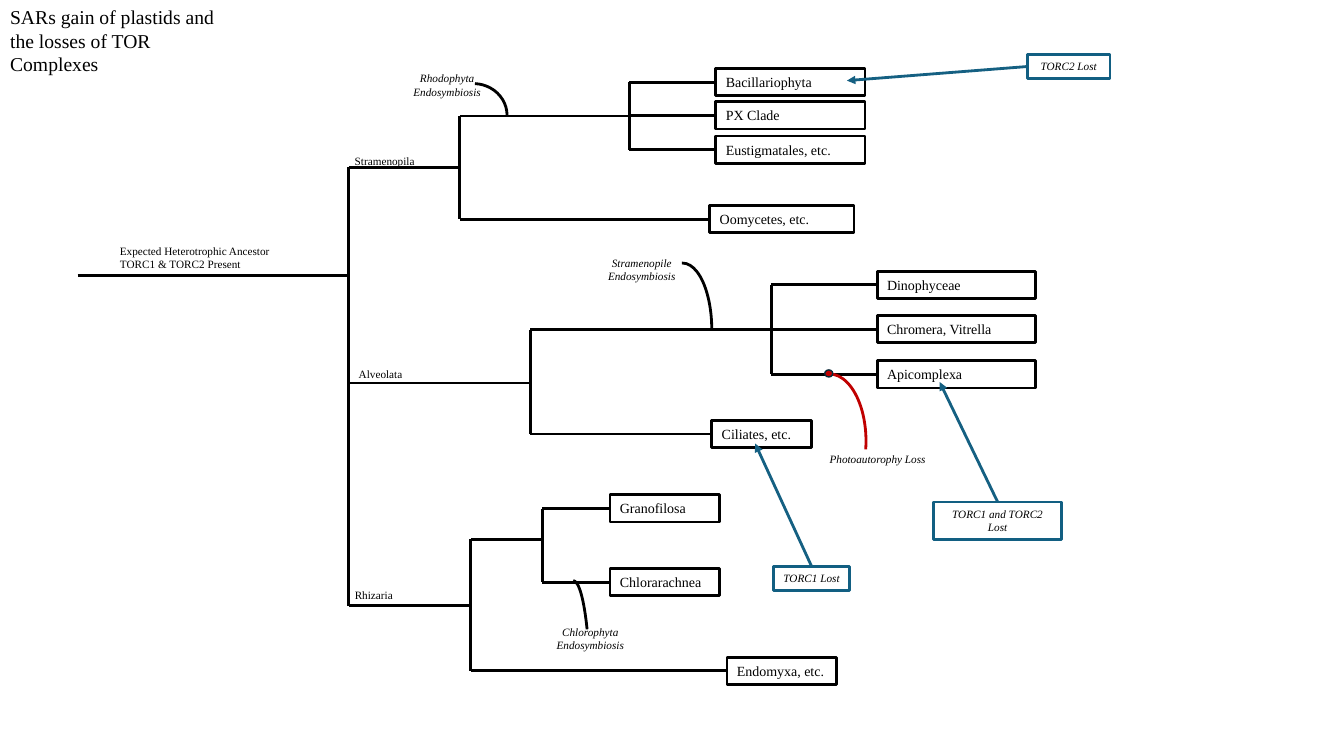
import pptx
import pptx.util
import pptx.dml.color
import pptx.enum.shapes
import pptx.enum.text
import pptx.oxml
import pptx.oxml.ns

Inches, Pt = pptx.util.Inches, pptx.util.Pt
SHAPE = pptx.enum.shapes.MSO_SHAPE
ALIGN = pptx.enum.text.PP_ALIGN
ANCHOR = pptx.enum.text.MSO_ANCHOR
AUTO_SIZE = pptx.enum.text.MSO_AUTO_SIZE
RGB = pptx.dml.color.RGBColor.from_string

COLORS = {"tree": "000000", "loss": "C00000", "dot": "092A39",
          "arrow": "156082", "callout": "125F82"}
TIP_HEIGHT = 0.27

presentation = pptx.Presentation()
presentation.slide_width, presentation.slide_height = Inches(13.33), Inches(7.5)
slide = presentation.slides.add_slide(presentation.slide_layouts[5])


def write(holder, text, size, italic=False, align=ALIGN.LEFT):
    """Fill a shape with wrapped, top-anchored text."""
    frame = holder.text_frame
    frame.text = text
    frame.word_wrap = True
    frame.auto_size = AUTO_SIZE.NONE
    frame.vertical_anchor = ANCHOR.TOP
    for paragraph in frame.paragraphs:
        paragraph.alignment = align
        for run in paragraph.runs:
            run.font.name = "Times New Roman"
            run.font.size = Pt(size)
            run.font.italic = italic
            run.font.color.rgb = RGB(COLORS["tree"])


def draw_line(x1, y1, x2, y2, color="tree"):
    line = slide.shapes.add_connector(
        pptx.enum.shapes.MSO_CONNECTOR.STRAIGHT,
        Inches(x1), Inches(y1), Inches(x2), Inches(y2))
    line.line.color.rgb = RGB(COLORS[color])
    line.line.width = Pt(2)
    properties = line._element.spPr
    properties.append(pptx.oxml.parse_xml(
        f'<a:effectLst {pptx.oxml.ns.nsdecls("a")}/>'))
    return line


title = slide.shapes.title
title.left, title.top, title.width, title.height = (
    Inches(0), Inches(0), Inches(2.28), Inches(1.41))
write(title, "SARs gain of plastids and the losses of TOR Complexes", 14)

# Inner branches: fork x, fork y, branch y, end x
draw_line(0.77, 2.73, 3.46, 2.73)
for fork_x, fork_y, y, end_x in [
    (3.46, 2.73, 1.66, 4.56),
    (3.46, 2.73, 3.8, 5.26),
    (3.46, 3.8, 6.01, 4.67),
    (4.56, 1.66, 1.15, 6.24),
    (5.26, 3.8, 3.27, 7.65),
    (4.67, 6.01, 5.35, 5.38),
]:
    draw_line(fork_x, fork_y, fork_x, y)
    draw_line(fork_x, y, end_x, y)

# Tips: name, left, top, width, fork x, fork y
for name, left, top, width, fork_x, fork_y in [
    ("Bacillariophyta", 7.1, 0.68, 1.48, 6.24, 1.15),
    ("PX Clade", 7.1, 1.01, 1.48, 6.24, 1.15),
    ("Eustigmatales, etc.", 7.1, 1.35, 1.48, 6.24, 1.15),
    ("Oomycetes, etc.", 7.04, 2.04, 1.43, 4.56, 1.66),
    ("Dinophyceae", 8.7, 2.69, 1.57, 7.65, 3.27),
    ("Chromera, Vitrella", 8.7, 3.13, 1.57, 7.65, 3.27),
    ("Apicomplexa", 8.7, 3.58, 1.57, 7.65, 3.27),
    ("Ciliates, etc.", 7.06, 4.17, 0.99, 5.26, 3.8),
    ("Granofilosa", 6.05, 4.91, 1.09, 5.38, 5.35),
    ("Chlorarachnea", 6.05, 5.64, 1.09, 5.38, 5.35),
    ("Endomyxa, etc.", 7.21, 6.52, 1.09, 4.67, 6.01),
]:
    tip = slide.shapes.add_shape(SHAPE.RECTANGLE, Inches(left), Inches(top),
                                 Inches(width), Inches(TIP_HEIGHT))
    tip.shadow.inherit = False
    tip.fill.background()
    tip.line.color.rgb = RGB(COLORS["tree"])
    tip.line.width = Pt(2)
    write(tip, name, 10)
    y = top + TIP_HEIGHT / 2
    if abs(y - fork_y) > 0.1:
        draw_line(fork_x, fork_y, fork_x, y)
    draw_line(fork_x, y, left, y).end_connect(tip, 1)

# Plastid gains and the loss: place, start and end angle in degrees
for left, top, width, height, start, end, color in [
    (4.36, 0.83, 0.67, 0.63, 273, 0, "tree"),
    (6.48, 2.61, 0.58, 1.32, 269.4, 0, "tree"),
    (7.86, 3.71, 0.73, 1.33, 270, 12.9, "loss"),
    (5.52, 5.76, 0.33, 2.12, 270, 283.5, "tree"),
]:
    arc = slide.shapes.add_shape(SHAPE.ARC, Inches(left), Inches(top),
                                 Inches(width), Inches(height))
    arc.adjustments[0], arc.adjustments[1] = start * 0.6, end * 0.6
    arc.shadow.inherit = False
    arc.fill.background()
    arc.line.color.rgb = RGB(COLORS[color])
    arc.line.width = Pt(2)

loss_dot = slide.shapes.add_shape(SHAPE.OVAL, Inches(8.18), Inches(3.67),
                                  Inches(0.08), Inches(0.07))
loss_dot.shadow.inherit = False
loss_dot.fill.solid()
loss_dot.fill.fore_color.rgb = RGB(COLORS["loss"])
loss_dot.line.color.rgb = RGB(COLORS["dot"])
loss_dot.line.width = Pt(1)

for text, left, top, width, height, is_event in [
    ("Expected Heterotrophic Ancestor\nTORC1 & TORC2 Present",
     1.09, 2.37, 2.39, 0.37, False),
    ("Stramenopila", 3.42, 1.48, 1.43, 0.24, False),
    ("Alveolata", 3.46, 3.6, 1.43, 0.24, False),
    ("Rhizaria", 3.42, 5.79, 1.09, 0.24, False),
    ("Rhodophyta Endosymbiosis", 3.86, 0.66, 1.15, 0.37, True),
    ("Stramenopile Endosymbiosis", 5.89, 2.49, 0.95, 0.37, True),
    ("Photoautorophy Loss", 7.92, 4.44, 1.57, 0.24, True),
    ("Chlorophyta Endosymbiosis", 5.31, 6.15, 1.09, 0.37, True),
]:
    label = slide.shapes.add_textbox(Inches(left), Inches(top),
                                     Inches(width), Inches(height))
    write(label, text, 8, is_event, ALIGN.CENTER if is_event else ALIGN.LEFT)

# Callouts: place, joined side (0 top, 1 left), arrow target
for text, left, top, width, height, side, target_x, target_y in [
    ("TORC1 and TORC2 Lost", 9.26, 4.98, 1.27, 0.37, 0, 9.32, 3.79),
    ("TORC1 Lost", 7.67, 5.62, 0.76, 0.24, 0, 7.49, 4.4),
    ("TORC2 Lost", 10.19, 0.54, 0.82, 0.24, 1, 8.4, 0.8),
]:
    callout = slide.shapes.add_shape(SHAPE.RECTANGLE, Inches(left), Inches(top),
                                     Inches(width), Inches(height))
    callout.shadow.inherit = False
    callout.fill.background()
    callout.line.color.rgb = RGB(COLORS["callout"])
    callout.line.width = Pt(2)
    write(callout, text, 8, True, ALIGN.CENTER)
    arrow = draw_line(left, top, target_x, target_y, "arrow")
    arrow.begin_connect(callout, side)
    arrow.line._get_or_add_ln().append(pptx.oxml.parse_xml(
        f'<a:tailEnd {pptx.oxml.ns.nsdecls("a")} type="triangle"/>'))

presentation.save("out.pptx")
